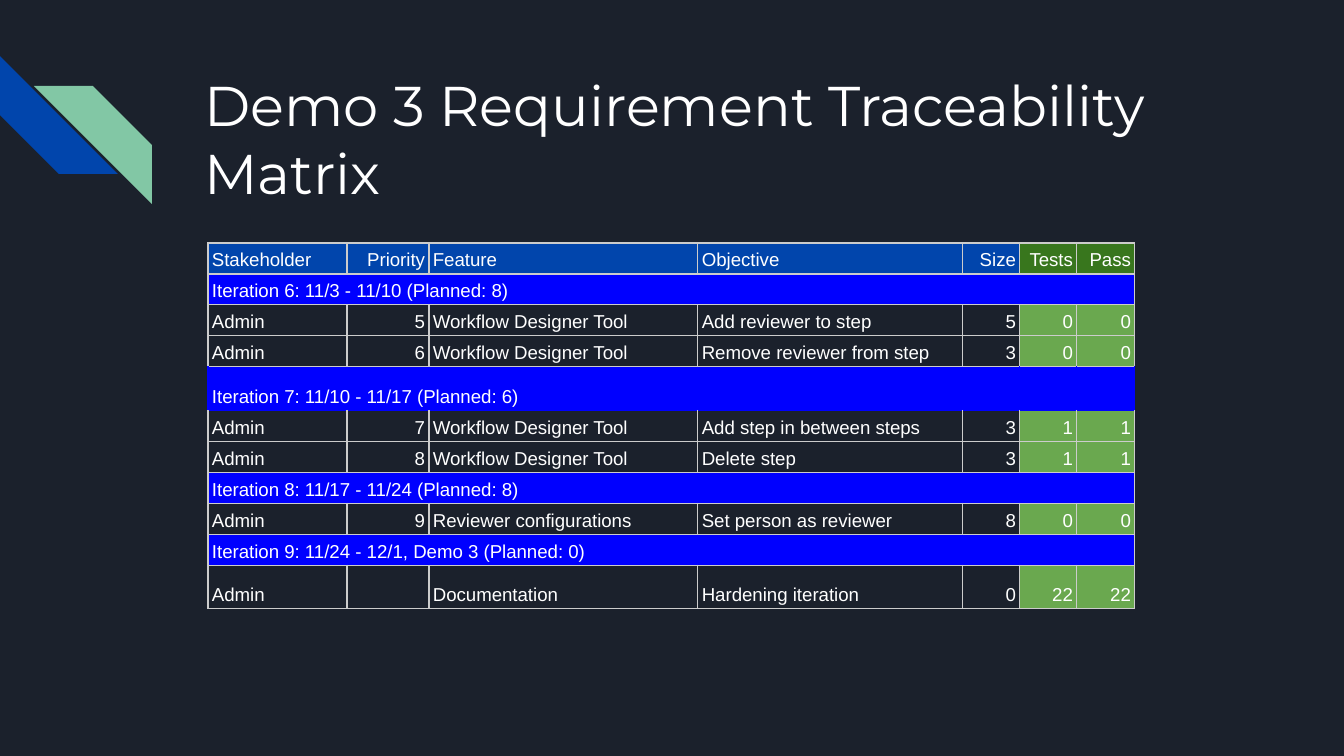
from lxml import etree
from pptx import Presentation
from pptx.dml.color import RGBColor
from pptx.enum.shapes import MSO_SHAPE
from pptx.enum.text import MSO_ANCHOR, MSO_AUTO_SIZE, PP_ALIGN
from pptx.oxml.ns import qn
from pptx.util import Emu, Pt

LEFT, RIGHT = PP_ALIGN.LEFT, PP_ALIGN.RIGHT
TOP, BOTTOM = MSO_ANCHOR.TOP, MSO_ANCHOR.BOTTOM
STRIPE = MSO_SHAPE.DIAGONAL_STRIPE

NIGHT = RGBColor(0x1B, 0x21, 0x2C)
WHITE = RGBColor(0xFF, 0xFF, 0xFF)
ROYAL = RGBColor(0x01, 0x45, 0xAC)
MINT = RGBColor(0x82, 0xC7, 0xA5)
BLUE = RGBColor(0x00, 0x00, 0xFF)
DARK_GREEN = RGBColor(0x38, 0x76, 0x1D)
GREEN = RGBColor(0x6A, 0xA8, 0x4F)
GRID = RGBColor(0xCC, 0xCC, 0xCC)

TITLE = "Demo 3 Requirement Traceability Matrix"
# Heading, width in px, alignment
COLUMNS = [
    ("Stakeholder", 139, LEFT),
    ("Priority", 82, RIGHT),
    ("Feature", 269, LEFT),
    ("Objective", 265, LEFT),
    ("Size", 57, RIGHT),
    ("Tests", 57, RIGHT),
    ("Pass", 58, RIGHT),
]
# A row with a single entry is an iteration band
ROWS = [
    ("Iteration 6: 11/3 - 11/10 (Planned: 8)",),
    ("Admin", "5", "Workflow Designer Tool", "Add reviewer to step", "5", "0", "0"),
    ("Admin", "6", "Workflow Designer Tool", "Remove reviewer from step", "3", "0", "0"),
    ("Iteration 7: 11/10 - 11/17 (Planned: 6)",),
    ("Admin", "7", "Workflow Designer Tool", "Add step in between steps", "3", "1", "1"),
    ("Admin", "8", "Workflow Designer Tool", "Delete step", "3", "1", "1"),
    ("Iteration 8: 11/17 - 11/24 (Planned: 8)",),
    ("Admin", "9", "Reviewer configurations", "Set person as reviewer", "8", "0", "0"),
    ("Iteration 9: 11/24 - 12/1, Demo 3 (Planned: 0)",),
    ("Admin", "", "Documentation", "Hardening iteration", "0", "22", "22"),
]
BORDERLESS_BAND = 4  # table row whose band hides the grid
TALL_ROWS = (BORDERLESS_BAND, len(ROWS))
ROW_HEIGHT, TALL_HEIGHT = 31, 43
FIRST_TEST_COLUMN = 5


def px(count):
    return Emu(round(count * 914400 / 134.4))


def write(frame, text, font="Arial", size=10, align=LEFT, spacing=1.15):
    paragraph = frame.paragraphs[0]
    paragraph.alignment = align
    paragraph.line_spacing = spacing
    run = paragraph.add_run()
    run.text = text
    run.font.name = font
    run.font.size = Pt(size)
    run.font.color.rgb = WHITE


def add_stripe(slide, left, top, color):
    stripe = slide.shapes.add_shape(STRIPE, px(left), px(top), px(118), px(118))
    stripe.shadow.inherit = False
    stripe.fill.solid()
    stripe.fill.fore_color.rgb = color
    stripe.line.fill.background()
    return stripe


def set_borders(cell, top, others):
    properties = cell._tc.get_or_add_tcPr()
    sides = (("a:lnL", others), ("a:lnR", others), ("a:lnT", top), ("a:lnB", others))
    for position, (tag, color) in enumerate(sides):
        line = etree.Element(qn(tag), w=str(Pt(0.75)))
        fill = etree.SubElement(line, qn("a:solidFill"))
        etree.SubElement(fill, qn("a:srgbClr"), val=str(color))
        properties.insert(position, line)


def cell_fill(row, column, is_band):
    if is_band:
        return BLUE
    is_test = column >= FIRST_TEST_COLUMN
    if row == 0:
        return DARK_GREEN if is_test else ROYAL
    return GREEN if is_test else None


def format_cell(cell, text, color, align):
    cell.margin_left = cell.margin_right = px(4)
    cell.margin_top = cell.margin_bottom = px(3)
    cell.vertical_anchor = BOTTOM
    if color is None:
        cell.fill.background()
    else:
        cell.fill.solid()
        cell.fill.fore_color.rgb = color
    write(cell.text_frame, text, align=align)


def add_matrix(slide):
    rows = [tuple(heading for heading, _, _ in COLUMNS)] + ROWS
    heights = [TALL_HEIGHT if r in TALL_ROWS else ROW_HEIGHT for r in range(len(rows))]
    widths = [width for _, width, _ in COLUMNS]
    table = slide.shapes.add_table(
        len(rows), len(COLUMNS), px(208), px(243), px(sum(widths)), px(sum(heights))
    ).table
    table.horz_banding = False
    for column, width in zip(table.columns, widths):
        column.width = px(width)
    for r, entries in enumerate(rows):
        table.rows[r].height = px(heights[r])
        is_band = len(entries) == 1
        texts = entries + ("",) * (len(COLUMNS) - len(entries))
        others = BLUE if r == BORDERLESS_BAND else GRID
        top = BLUE if r == BORDERLESS_BAND + 1 else GRID
        for c, text in enumerate(texts):
            cell = table.cell(r, c)
            format_cell(cell, text, cell_fill(r, c, is_band), COLUMNS[c][2])
            set_borders(cell, top, others)
        if is_band:
            last = FIRST_TEST_COLUMN - 1 if r == BORDERLESS_BAND else len(COLUMNS) - 1
            table.cell(r, 0).merge(table.cell(r, last))


def main():
    deck = Presentation()
    deck.slide_width, deck.slide_height = px(1344), px(756)
    slide = deck.slides.add_slide(deck.slide_layouts[5])
    slide.background.fill.solid()
    slide.background.fill.fore_color.rgb = NIGHT

    add_stripe(slide, 0, 56, ROYAL).rotation = 270
    mint_stripe = add_stripe(slide, 34, 86, MINT)
    mint_stripe._element.spPr.xfrm.set("flipH", "1")

    title = slide.shapes.title
    title.left, title.top, title.width, title.height = px(191), px(58), px(1035), px(134)
    frame = title.text_frame
    frame.word_wrap = True
    frame.auto_size = MSO_AUTO_SIZE.NONE
    frame.vertical_anchor = TOP
    frame.margin_left = frame.margin_right = px(13)
    frame.margin_top = frame.margin_bottom = px(13)
    write(frame, TITLE, font="Montserrat", size=30, spacing=1.0)

    add_matrix(slide)
    deck.save("out.pptx")


if __name__ == "__main__":
    main()
